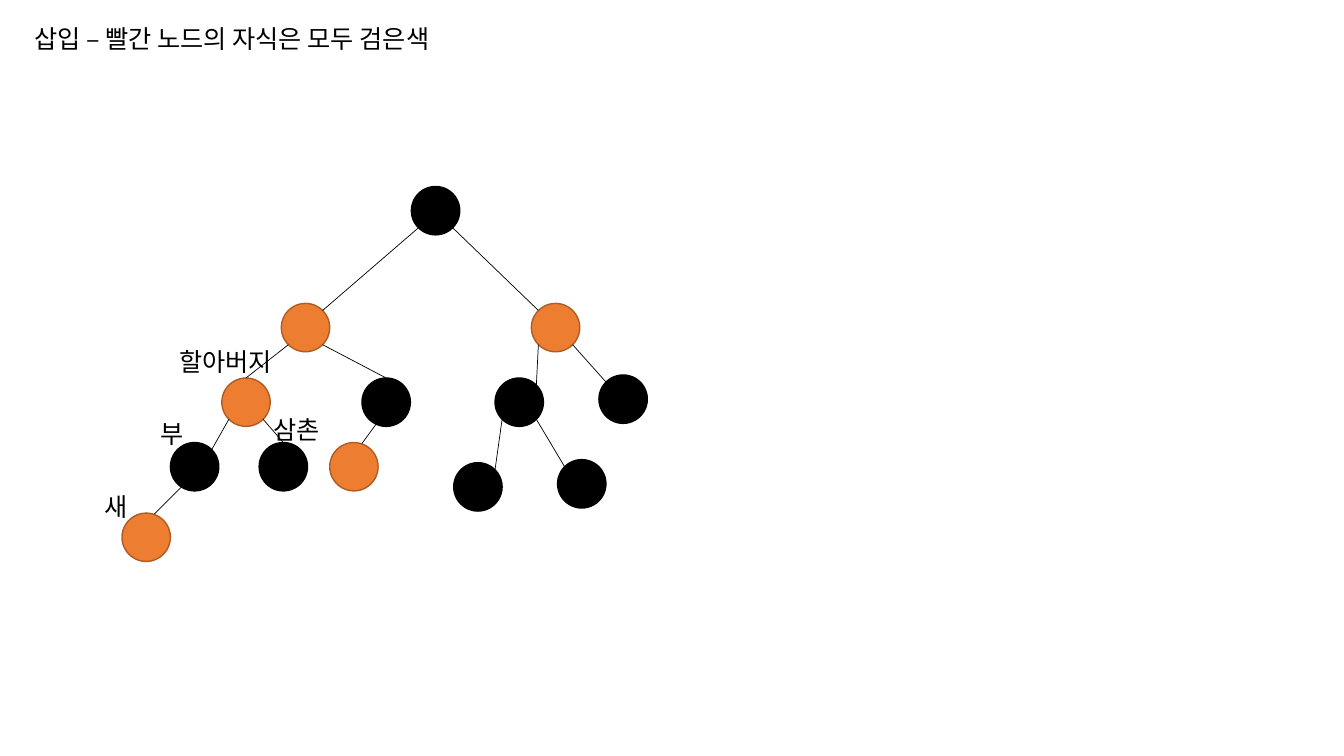
from lxml.etree import SubElement
from pptx import Presentation
from pptx.dml.color import RGBColor
from pptx.enum.shapes import MSO_CONNECTOR as CONNECTOR, MSO_SHAPE as SHAPE
from pptx.enum.text import MSO_AUTO_SIZE as AUTO_SIZE
from pptx.oxml.ns import qn
from pptx.util import Pt

PX = 9144  # 100 px to the inch
DIAMETER = 48
FONT = "Noto Sans CJK KR"
COLORS = {"black": "000000", "red": "ED7D31", "red_edge": "AF5C24"}
EDGE_COLORS = {"black": "black", "red": "red_edge"}
TEXT_FORMAT = {"size": Pt(18), "name": FONT}
FRAME_FORMAT = {"word_wrap": False, "auto_size": AUTO_SIZE.SHAPE_TO_FIT_TEXT}

# name: (centre x, centre y, colour)
NODES = {
    "root": (432, 209, "black"),
    "left": (303, 325, "red"),
    "grandfather": (244, 399, "red"),
    "left_right": (383, 399, "black"),
    "right": (551, 325, "red"),
    "right_right": (618, 396, "black"),
    "left_right_child": (351, 463, "red"),
    "father": (193, 463, "black"),
    "uncle": (281, 463, "black"),
    "new": (145, 533, "red"),
    "right_left": (515, 399, "black"),
    "inner_right": (577, 480, "black"),
    "inner_left": (474, 483, "black"),
}

# offsets from a node's centre to points on its rim
RIM = {
    "top": (0, -24),
    "top_left": (-17, -17),
    "top_right": (17, -17),
    "bottom_left": (-17, 17),
    "bottom_right": (17, 17),
    "steep_top": (8, -23),
    "steep_bottom": (-8, 19),
    "father_bottom": (-10, 17),
}

BRANCHES = [
    ("root", "bottom_left", "left", "top_right"),
    ("root", "bottom_right", "right", "top_left"),
    ("left", "bottom_left", "grandfather", "top"),
    ("left", "bottom_right", "left_right", "top"),
    ("right", "bottom_right", "right_right", "top_left"),
    ("right", "bottom_left", "right_left", "top_right"),
    ("left_right", "steep_bottom", "left_right_child", "steep_top"),
    ("grandfather", "bottom_left", "father", "top_right"),
    ("grandfather", "bottom_right", "uncle", "top"),
    ("right_left", "bottom_right", "inner_right", "top_left"),
    ("right_left", "bottom_left", "inner_left", "top_right"),
    ("father", "father_bottom", "new", "steep_top"),
]

# text, left, top, width
LABELS = [
    ("삽입 – 빨간 노드의 자식은 모두 검은색", 24, 18, 474),
    ("삼촌", 261, 406, 71),
    ("새", 94, 483, 45),
    ("부", 149, 410, 45),
    ("할아버지", 168, 339, 121),
]
LABEL_HEIGHT = 40


def emu(*lengths):
    return [length * PX for length in lengths]


def rgb(color):
    return RGBColor.from_string(COLORS[color])


def apply_format(target, values):
    for attribute, value in values.items():
        setattr(target, attribute, value)


def add_node(slide, x, y, color):
    radius = DIAMETER // 2
    node = slide.shapes.add_shape(
        SHAPE.OVAL, *emu(x - radius, y - radius, DIAMETER, DIAMETER))
    node.shadow.inherit = False
    node.fill.solid()
    node.fill.fore_color.rgb = rgb(color)
    node.line.color.rgb = rgb(EDGE_COLORS[color])
    node.line.width = Pt(1)


def rim_point(name, side):
    x, y, _ = NODES[name]
    dx, dy = RIM[side]
    return x + dx, y + dy


def add_branch(slide, parent, parent_side, child, child_side):
    branch = slide.shapes.add_connector(
        CONNECTOR.STRAIGHT,
        *emu(*rim_point(parent, parent_side), *rim_point(child, child_side)))
    branch.line.color.rgb = rgb("black")
    branch.line.width = Pt(0.5)
    SubElement(branch.element.spPr, qn("a:effectLst"))


def add_label(slide, text, left, top, width):
    box = slide.shapes.add_textbox(*emu(left, top, width, LABEL_HEIGHT))
    apply_format(box.text_frame, FRAME_FORMAT)
    run = box.text_frame.paragraphs[0].add_run()
    run.text = text
    apply_format(run.font, TEXT_FORMAT)
    run.font.color.rgb = rgb("black")
    SubElement(run.font._element, qn("a:ea"), typeface=FONT)


def main():
    prs = Presentation()
    prs.slide_width, prs.slide_height = emu(1333, 750)
    slide = prs.slides.add_slide(prs.slide_layouts[6])
    for node in NODES.values():
        add_node(slide, *node)
    for branch in BRANCHES:
        add_branch(slide, *branch)
    for label in LABELS:
        add_label(slide, *label)
    prs.save("out.pptx")


if __name__ == "__main__":
    main()
